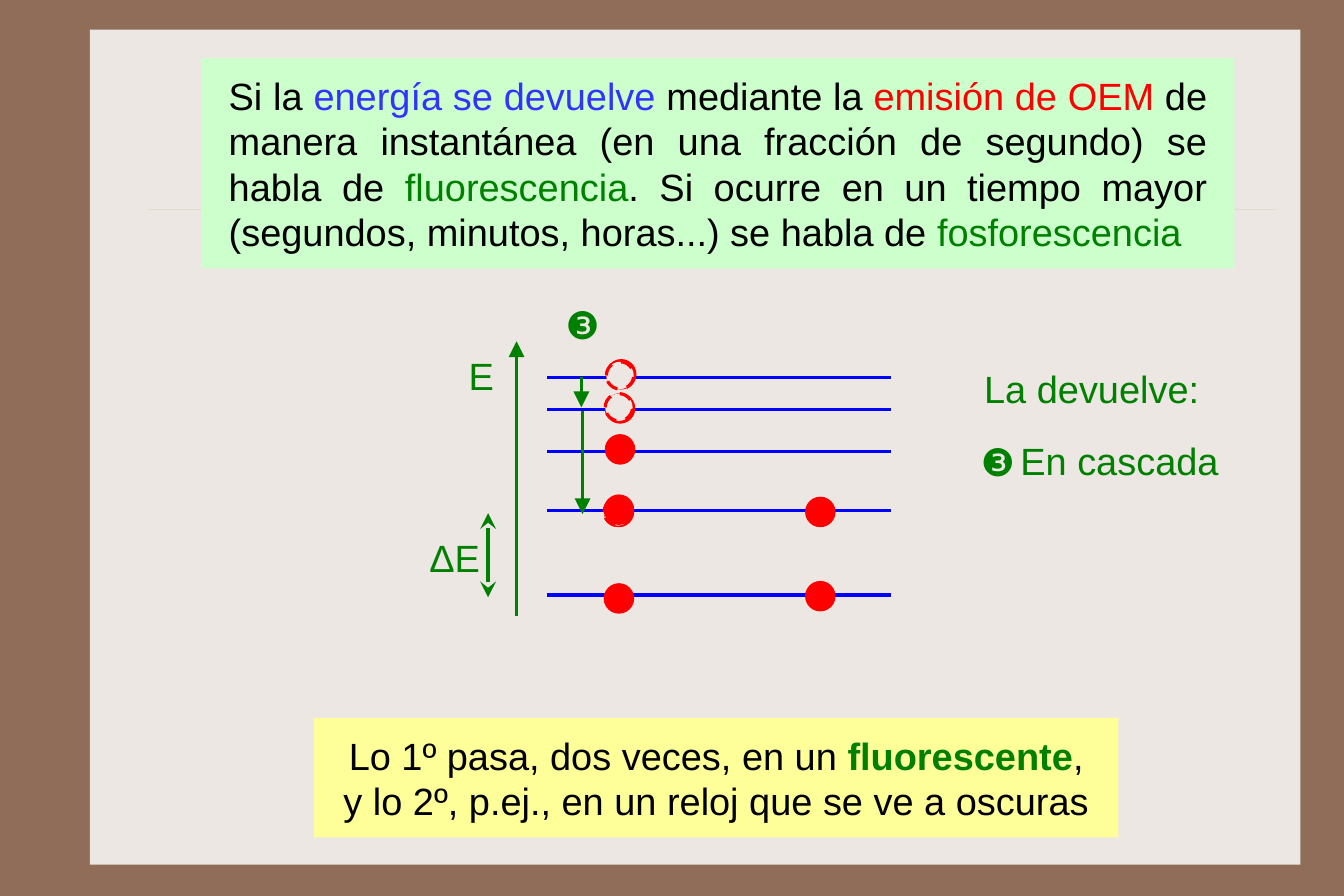
from lxml import etree
from pptx import Presentation
from pptx.dml.color import RGBColor
from pptx.enum import dml, shapes, text
from pptx.oxml.ns import qn
from pptx.util import Inches, Pt

BROWN = RGBColor(0x90, 0x6D, 0x58)
CREAM = RGBColor(0xED, 0xE7, 0xE3)
SAND = RGBColor(0xCB, 0xBD, 0x83)
MINT = RGBColor(0xCC, 0xFF, 0xCC)
YELLOW = RGBColor(0xFF, 0xFF, 0x99)
BLACK = RGBColor(0, 0, 0)
VIOLET = RGBColor(0x33, 0x33, 0xFF)
BLUE = RGBColor(0, 0, 0xFF)
RED = RGBColor(0xFF, 0, 0)
GREEN = RGBColor(0, 0x80, 0)

prs = Presentation()
prs.slide_width, prs.slide_height = Inches(11.8125), Inches(7.875)
s = prs.slides.add_slide(prs.slide_layouts[6])
s.background.fill.solid()
s.background.fill.fore_color.rgb = BROWN


def add_filled(kind, x, y, w, h, color):
    sp = s.shapes.add_shape(kind, Inches(x), Inches(y), Inches(w), Inches(h))
    sp.shadow.inherit = False
    sp.fill.solid()
    sp.fill.fore_color.rgb = color
    sp.line.fill.background()
    return sp


def add_line(x1, y1, x2, y2, color, width=2, head=None, tail=None):
    ln = s.shapes.add_connector(shapes.MSO_CONNECTOR.STRAIGHT,
                                Inches(x1), Inches(y1), Inches(x2), Inches(y2))
    ln.line.color.rgb = color
    ln.line.width = Pt(width)
    for tag, arrow in (("a:headEnd", head), ("a:tailEnd", tail)):
        if arrow:
            etree.SubElement(ln._element.spPr.find(qn("a:ln")), qn(tag),
                             type=arrow, w="lg", len="lg")
    etree.SubElement(ln._element.spPr, qn("a:effectLst"))
    return ln


add_filled(shapes.MSO_SHAPE.RECTANGLE, 0.79, 0.26, 10.64, 7.34, CREAM)
rule = add_line(1.31, 1.84, 11.22, 1.84, SAND, 0.25)
etree.SubElement(next(rule._element.spPr.iter(qn("a:srgbClr"))), qn("a:alpha"), val="40000")

definition = [[("Si la ", BLACK), ("energía se devuelve", VIOLET),
               (" mediante la ", BLACK), ("emisión de OEM", RED),
               (" de manera instantánea (en una fracción de segundo) se habla de ", BLACK),
               ("fluorescencia", GREEN),
               (". Si ocurre en un tiempo mayor (segundos, minutos, horas...) se habla de ", BLACK),
               ("fosforescencia", GREEN)]]
examples = [[("Lo 1º pasa, dos veces, en un ", BLACK), ("fluorescente", GREEN), (",", BLACK)],
            [("y lo 2º, p.ej., en un reloj que se ve a oscuras", BLACK)]]
panels = [(1.77, 0.51, 9.08, 1.85, MINT, 0.24, text.PP_ALIGN.JUSTIFY, definition),
          (2.76, 6.31, 7.07, 1.05, YELLOW, 0.12, text.PP_ALIGN.CENTER, examples)]
for x, y, w, h, color, inset, align, paragraphs in panels:
    tf = add_filled(shapes.MSO_SHAPE.RECTANGLE, x, y, w, h, color).text_frame
    tf.word_wrap = True
    tf.vertical_anchor = text.MSO_ANCHOR.MIDDLE
    tf.margin_left = tf.margin_right = Inches(inset)
    tf.margin_top = tf.margin_bottom = Inches(0.12)
    for i, runs in enumerate(paragraphs):
        p = tf.add_paragraph() if i else tf.paragraphs[0]
        p.alignment = align
        for words, ink in runs:
            r = p.add_run()
            r.text = words
            r.font.name, r.font.size = "Arial", Pt(24)
            r.font.color.rgb = ink
            r.font.bold = words == "fluorescente"

for y in (3.32, 3.6, 3.97, 4.49, 5.23):
    add_line(4.81, y, 7.83, y, BLUE)

add_line(4.54, 5.41, 4.54, 3, GREEN, tail="triangle")
add_line(4.29, 4.51, 4.29, 5.25, GREEN, head="stealth", tail="stealth")
add_line(5.11, 3.31, 5.11, 3.58, GREEN, tail="triangle")
add_line(5.12, 3.61, 5.12, 4.52, GREEN, tail="triangle")

electrons = [(5.32, 5.14, True), (7.09, 5.12, True), (7.09, 4.38, True),
             (5.32, 4.38, True), (5.33, 3.83, True), (5.34, 3.17, True),
             (5.31, 4.38, False), (5.33, 3.18, False), (5.33, 3.47, True),
             (5.32, 3.46, False), (5.32, 4.36, True)]
for x, y, occupied in electrons:
    sp = add_filled(shapes.MSO_SHAPE.OVAL, x, y, 0.24, 0.24, RED if occupied else CREAM)
    sp.line.color.rgb = RED
    sp.line.width = Pt(2)
    if not occupied:
        sp.line.dash_style = dml.MSO_LINE.DASH

labels = [("E", 4.04, 2.97, 0.38, 0.59, 0.13), ("ΔE", 3.72, 4.57, 0.55, 0.59, 0.13),
          ("❸", 4.87, 2.6, 0.5, 0.5, 0.05), ("La devuelve:", 8.54, 3.16, 2.11, 0.5, 0.05),
          ("❸", 8.52, 3.81, 0.5, 0.5, 0.05), ("En cascada", 8.86, 3.8, 1.96, 0.5, 0.05)]
for words, x, y, w, h, inset in labels:
    tf = s.shapes.add_textbox(Inches(x), Inches(y), Inches(w), Inches(h)).text_frame
    tf.word_wrap = False
    tf.margin_left = tf.margin_right = 0
    tf.margin_top = tf.margin_bottom = Inches(inset)
    tf.text = words
    p = tf.paragraphs[0]
    p.alignment = text.PP_ALIGN.CENTER
    r = p.runs[0]
    r.font.name, r.font.size = "Arial", Pt(24)
    r.font.color.rgb = GREEN

prs.save("out.pptx")
